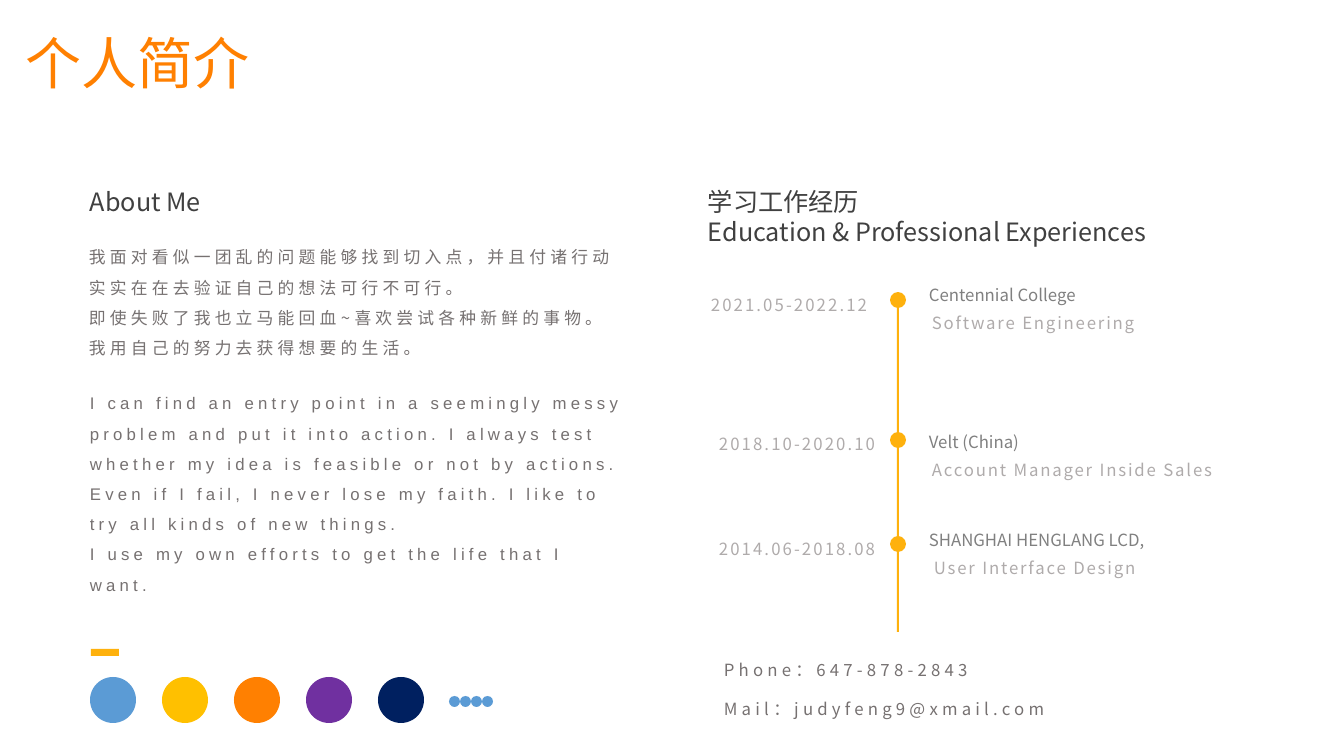
from pptx import Presentation
from pptx import util as u
from pptx.dml.color import RGBColor
from pptx.enum import shapes, text
from pptx.oxml.ns import qn
from lxml import etree

PX = 914400 / 100.8
CJK = "Noto Sans CJK SC"
COLORS = {
    "orange": "FF8001", "amber": "FEB10D", "heading": "404040", "body": "767171",
    "place": "808080", "muted": "AFABAB", "blue": "5B9BD5",
    "yellow": "FFC000", "purple": "7030A0", "navy": "002060",
}
# Text styles: size, colour, letter spacing, line spacing
STYLES = {
    "title": (40, "orange", 0, 0.9),
    "heading": (18, "heading", 0, None),
    "body": (12, "body", 3, 1.5),
    "date": (12, "muted", 1.5, 1.5),
    "place": (12, "place", 0, None),
    "role": (12, "muted", 1.3, None),
}
TITLE = ["个人简介"]
ABOUT_HEADING = ["About Me"]
ABOUT_CHINESE = [
    "我面对看似一团乱的问题能够找到切入点，并且付诸行动",
    "实实在在去验证自己的想法可行不可行。",
    "即使失败了我也立马能回血~喜欢尝试各种新鲜的事物。",
    "我用自己的努力去获得想要的生活。",
]
ABOUT_ENGLISH = [
    "I can find an entry point in a seemingly messy problem and put it into action. "
    "I always test whether my idea is feasible or not by actions.",
    "Even if I fail, I never lose my faith. I like to try all kinds of new things.",
    "I use my own efforts to get the life that I want.",
]
HISTORY_HEADING = ["学习工作经历", "Education & Professional Experiences"]
# Dot top, then (text, box) for date, place and role
HISTORY = [
    (292, ("2021.05-2022.12", (701, 280, 186, 37)),
     ("Centennial College", (919, 280, 173, 30)),
     ("Software Engineering", (922, 308, 231, 30))),
    (432, ("2018.10-2020.10", (709, 419, 186, 37)),
     ("Velt (China)", (919, 427, 114, 30)),
     ("Account Manager Inside Sales", (922, 455, 316, 30))),
    (536, ("2014.06-2018.08", (709, 524, 186, 37)),
     ("SHANGHAI HENGLANG LCD,", (919, 525, 255, 30)),
     ("User Interface Design", (924, 553, 233, 30))),
]
CONTACTS = [
    ("Phone：647-878-2843", (714, 645, 279, 37)),
    ("Mail：judyfeng9@xmail.com", (714, 684, 358, 37)),
]
SKILL_COLORS = ["blue", "yellow", "orange", "purple", "navy"]
SKILL_LEFT, SKILL_TOP, SKILL_SIZE, SKILL_STEP = 90, 677, 46, 72
MORE_LEFT, MORE_TOP, MORE_SIZE, MORE_COUNT = 449, 696, 11, 4


def emu(box):
    return [u.Emu(round(v * PX)) for v in box]


def rgb(name):
    return RGBColor.from_string(COLORS[name])


def add_filled(s, kind, box, color):
    sp = s.shapes.add_shape(kind, *emu(box))
    sp.shadow.inherit = False
    sp.fill.solid()
    sp.fill.fore_color.rgb = rgb(color)
    sp.line.fill.background()


def add_text(s, lines, box, style, align=text.PP_ALIGN.LEFT, font=CJK, wrap=False, grow=True,
             anchor=text.MSO_ANCHOR.TOP):
    size, color, tracking, spacing = STYLES[style]
    tf = s.shapes.add_textbox(*emu(box)).text_frame
    tf.word_wrap = wrap
    tf.auto_size = text.MSO_AUTO_SIZE.SHAPE_TO_FIT_TEXT if grow else text.MSO_AUTO_SIZE.NONE
    tf.vertical_anchor = anchor
    for i, line in enumerate(lines):
        p = tf.add_paragraph() if i else tf.paragraphs[0]
        p.alignment = align
        if spacing:
            p.line_spacing = spacing
        r = p.add_run()
        r.text = line
        r.font.size = u.Pt(size)
        r.font.name = font
        r.font.color.rgb = rgb(color)
        rPr = r.font._element
        etree.SubElement(rPr, qn("a:ea")).set("typeface", font)
        if tracking:
            rPr.set("spc", str(round(tracking * 100)))


def add_about(s):
    add_text(s, ABOUT_HEADING, (80, 181, 143, 40), "heading")
    add_text(s, ABOUT_CHINESE, (79, 232, 561, 129), "body", text.PP_ALIGN.JUSTIFY)
    add_text(s, ABOUT_ENGLISH, (80, 378, 554, 220), "body", font="Arial", wrap=True)
    add_filled(s, shapes.MSO_SHAPE.RECTANGLE, (91, 649, 28, 7), "amber")


def add_skills(s):
    oval = shapes.MSO_SHAPE.OVAL
    for i, color in enumerate(SKILL_COLORS):
        x = SKILL_LEFT + i * SKILL_STEP
        add_filled(s, oval, (x, SKILL_TOP, SKILL_SIZE, SKILL_SIZE), color)
    for i in range(MORE_COUNT):
        add_filled(s, oval, (MORE_LEFT + i * MORE_SIZE, MORE_TOP, MORE_SIZE, MORE_SIZE), "blue")


def add_history(s):
    add_text(s, HISTORY_HEADING, (698, 181, 477, 72), "heading")
    add_filled(s, shapes.MSO_SHAPE.RECTANGLE, (897, 301, 2, 331), "amber")
    for top, date, place, role in HISTORY:
        add_filled(s, shapes.MSO_SHAPE.OVAL, (890, top, 16, 16), "amber")
        add_text(s, [date[0]], date[1], "date", text.PP_ALIGN.JUSTIFY)
        add_text(s, [place[0]], place[1], "place", wrap=True)
        add_text(s, [role[0]], role[1], "role")
    for contact, box in CONTACTS:
        add_text(s, [contact], box, "body", text.PP_ALIGN.JUSTIFY)


def main():
    prs = Presentation()
    prs.slide_width, prs.slide_height = emu((1344, 756))
    s = prs.slides.add_slide(prs.slide_layouts[6])
    add_text(s, TITLE, (-33, 19, 341, 83), "title", text.PP_ALIGN.CENTER, wrap=True, grow=False,
             anchor=text.MSO_ANCHOR.BOTTOM)
    add_about(s)
    add_skills(s)
    add_history(s)
    prs.save("out.pptx")


if __name__ == "__main__":
    main()
